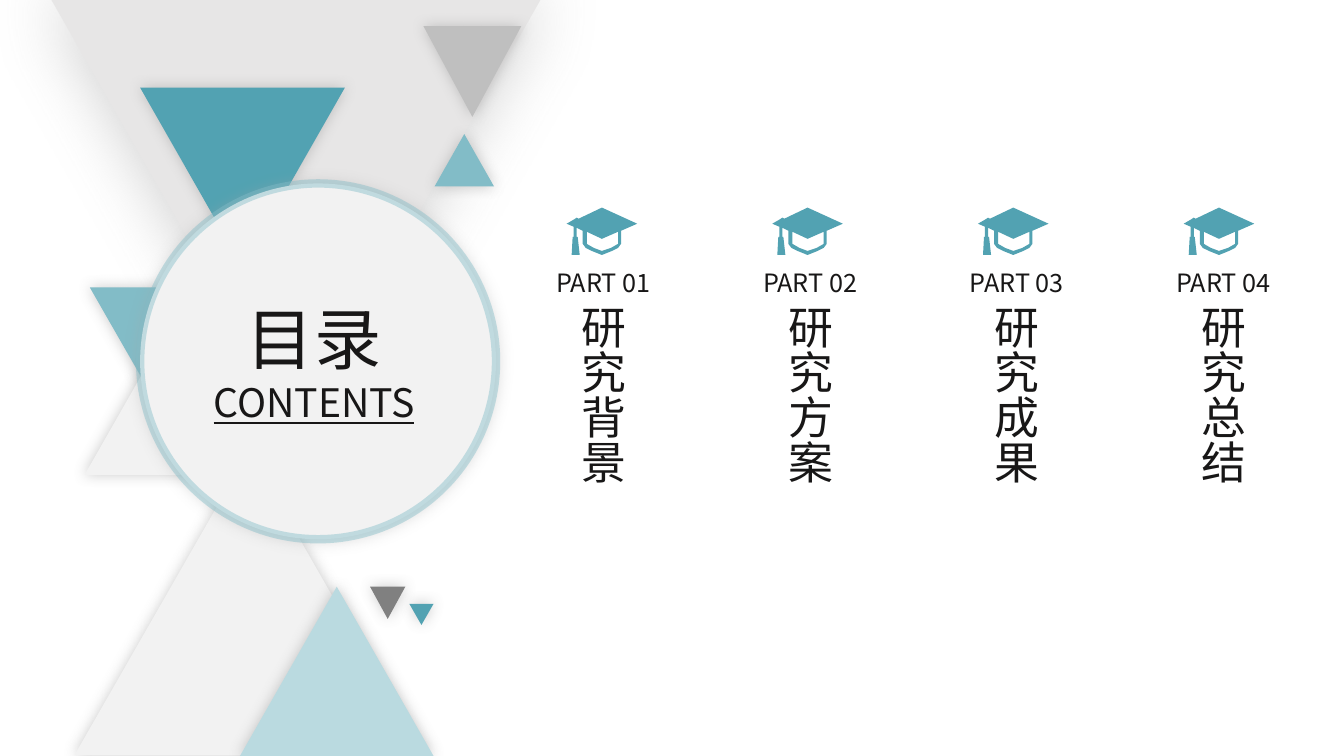
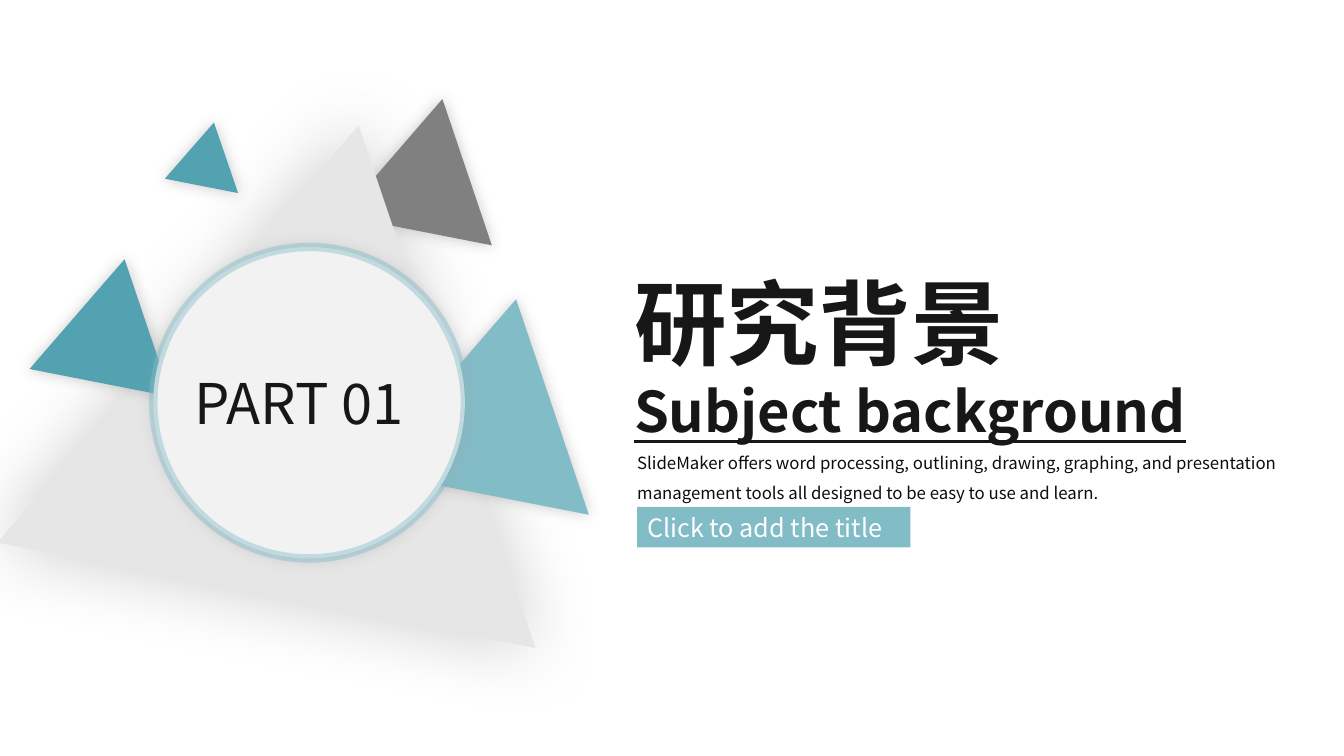
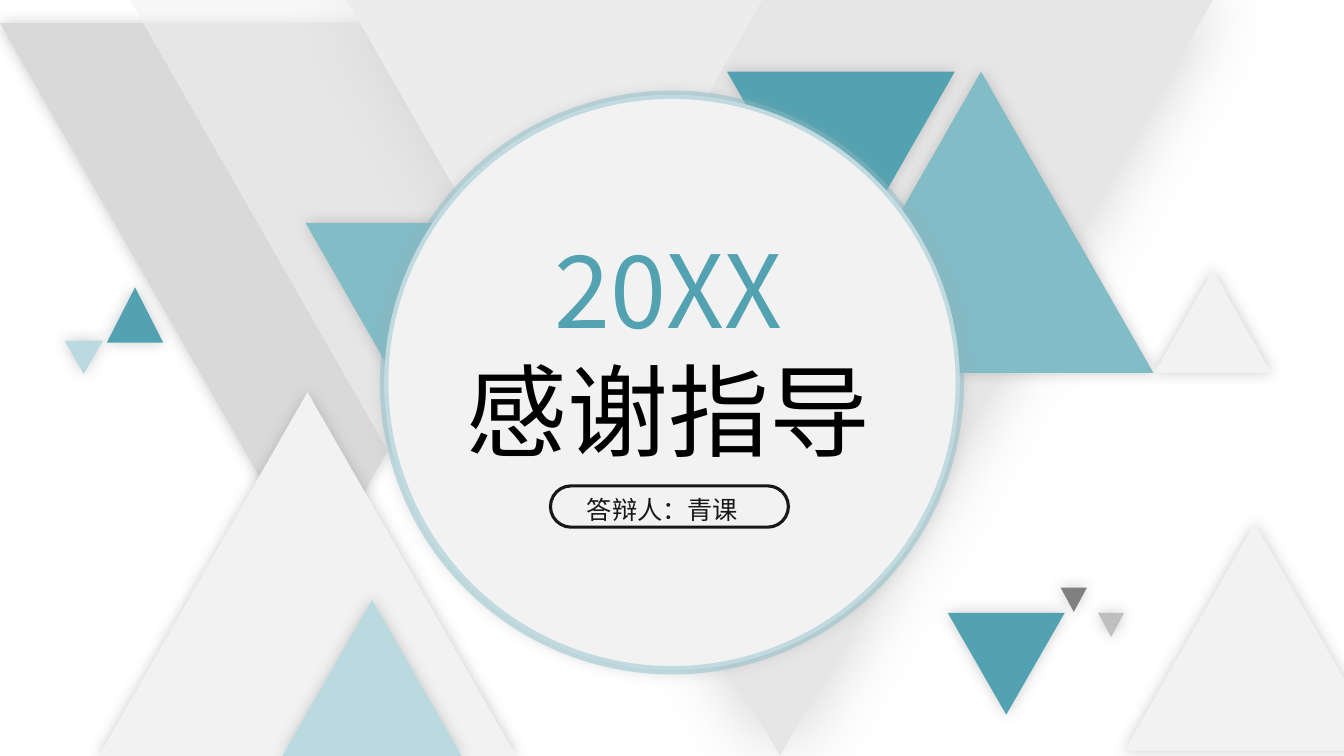
from pptx import Presentation
from pptx.dml.color import RGBColor
from pptx.enum.shapes import MSO_SHAPE as SHAPE
from pptx.enum.text import MSO_ANCHOR as ANCHOR, MSO_AUTO_SIZE as AUTO, PP_ALIGN as ALIGN
from pptx.oxml.ns import qn
from pptx.util import Pt
from lxml.etree import SubElement

PX = 9144  # 100 px to the inch


class Theme:
    font = "Noto Sans CJK SC"
    ink, body, black, white = "181717", "0D0D0D", "000000", "FFFFFF"
    teal, aqua, ice = "52A2B2", "82BCC7", "BADAE0"
    pale, light, mist = "F2F2F2", "E7E6E6", "D9D9D9"
    silver, grey, ring_shadow = "BFBFBF", "808080", "A6A6A6"
    small, label, sub, item, heading, agenda, title, huge = 12, 18, 28, 32, 40, 48, 66, 72
    soft, wide = 10, 53  # shadow blur in points


T = Theme
UP, DOWN, TILT = 0, 180, 11.1

# Triangles, back to front: left, top, width, height, turn, colour, options
CONTENTS_TRIANGLES = [
    (51, 0, 485, 424, DOWN, T.light, {"blur": T.wide}),
    (74, 447, 346, 302, UP, T.pale, {}),
    (238, 582, 192, 168, UP, T.ice, {}),
    (431, 133, 59, 52, UP, T.aqua, {}),
    (89, 285, 126, 110, DOWN, T.aqua, {}),
    (406, 599, 24, 21, DOWN, T.teal, {}),
    (139, 87, 203, 178, DOWN, T.teal, {}),
    (367, 582, 35, 32, DOWN, T.grey, {}),
    (420, 26, 97, 90, DOWN, T.silver, {}),
    (84, 343, 146, 128, UP, T.pale, {}),
]
SECTION_TRIANGLES = [
    (350, 97, 152, 133, TILT, T.grey, {}),
    (38, 120, 544, 475, TILT, T.light, {"blur": T.wide}),
    (381, 295, 224, 196, TILT, T.aqua, {}),
    (169, 121, 74, 64, TILT, T.teal, {}),
    (40, 256, 143, 125, TILT, T.teal, {}),
]
CLOSING_TRIANGLES = [
    (0, 23, 627, 548, DOWN, T.mist, {}),
    (344, 0, 859, 750, DOWN, T.light, {"blur": T.wide}),
    (98, 389, 414, 361, UP, T.pale, {}),
    (280, 595, 178, 155, UP, T.ice, {}),
    (129, 0, 627, 548, DOWN, T.pale, {"blur": 0, "alpha": 54}),
    (802, 71, 342, 299, UP, T.aqua, {}),
    (303, 221, 354, 309, DOWN, T.aqua, {}),
    (940, 608, 116, 101, DOWN, T.teal, {}),
    (1145, 268, 116, 102, UP, T.pale, {}),
    (721, 71, 226, 197, DOWN, T.teal, {}),
    (106, 285, 56, 55, UP, T.teal, {}),
    (64, 338, 38, 33, DOWN, T.ice, {}),
    (1052, 583, 26, 24, DOWN, T.grey, {}),
    (1089, 608, 26, 24, DOWN, T.silver, {}),
    (1115, 519, 259, 226, UP, T.pale, {}),
]

PARTS = ["研究背景", "研究方案", "研究成果", "研究总结"]
PART_PITCH, CAP_PITCH = 205, 204
CAP_OUTLINE = [
    (70, 16), (35, 0), (12, 11), (10, 10), (7, 12), (0, 16), (7, 19), (7, 29),
    (6, 29), (5, 47), (13, 47), (11, 29), (10, 29), (10, 20), (12, 21), (16, 23),
    (16, 36), (19, 40), (25, 43), (35, 47), (45, 43), (51, 40), (54, 36), (54, 23),
]
CAP_HOLE = [(51, 36), (44, 40), (35, 43), (27, 40), (20, 36), (20, 24), (35, 31), (51, 24)]
INTRO = ("SlideMaker offers word processing, outlining, drawing, graphing, and presentation "
         "management tools all designed to be easy to use and learn.")


def rgb(color):
    return RGBColor.from_string(color)


def set_alpha(sp, tag, percent):
    """Opacity of the solid fill (a:solidFill) or the outline (a:ln)."""
    color = sp._element.spPr.find(qn(tag)).find(".//" + qn("a:srgbClr"))
    SubElement(color, qn("a:alpha"), val=str(percent * 1000))


def add_glow(sp, color, blur):
    """Centred outer shadow at 40 % opacity."""
    effects = sp._element.spPr.find(qn("a:effectLst"))
    shadow = SubElement(effects, qn("a:outerShdw"), blurRad=str(Pt(blur)), dist="0",
                        dir="0", algn="ctr", rotWithShape="0")
    clr = SubElement(shadow, qn("a:srgbClr"), val=color)
    SubElement(clr, qn("a:alpha"), val="40000")


def style(sp, fill=None, line=None, width=1):
    sp.shadow.inherit = False
    if fill:
        sp.fill.solid()
        sp.fill.fore_color.rgb = rgb(fill)
    else:
        sp.fill.background()
    if line:
        sp.line.color.rgb = rgb(line)
        sp.line.width = Pt(width)
    else:
        sp.line.fill.background()
    return sp


def add_shape(s, kind, x, y, w, h, **look):
    return style(s.shapes.add_shape(kind, x * PX, y * PX, w * PX, h * PX), **look)


def add_triangles(s, triangles):
    for x, y, w, h, turn, color, options in triangles:
        sp = add_shape(s, SHAPE.ISOSCELES_TRIANGLE, x, y, w, h, fill=color)
        sp.rotation = turn
        blur = options.get("blur", T.soft)
        if blur:
            add_glow(sp, T.grey, blur)
        if "alpha" in options:
            set_alpha(sp, "a:solidFill", options["alpha"])


def add_disc(s, x, y, size):
    sp = add_shape(s, SHAPE.OVAL, x, y, size, size, fill=T.pale, line=T.aqua, width=6)
    set_alpha(sp, "a:ln", 43)
    add_glow(sp, T.ring_shadow, T.soft)


def write(sp, *lines, align=ALIGN.CENTER, bold=False, spacing=None, inset=None,
          anchor=ANCHOR.TOP, vertical=False):
    """Each line is (text, size, colour) with an optional underline flag."""
    tf = sp.text_frame
    tf.word_wrap = True
    tf.auto_size = AUTO.SHAPE_TO_FIT_TEXT
    tf.vertical_anchor = anchor
    if inset is not None:
        tf.margin_left = tf.margin_right = tf.margin_top = tf.margin_bottom = inset
    if vertical:
        tf._txBody.bodyPr.set("vert", "eaVert")
    for i, (text, size, color, *underline) in enumerate(lines):
        p = tf.add_paragraph() if i else tf.paragraphs[0]
        p.alignment = align
        if spacing:
            p.line_spacing = spacing
        r = p.add_run()
        r.text = text
        r.font.name, r.font.size, r.font.bold = T.font, Pt(size), bold
        r.font.color.rgb = rgb(color)
        r.font.underline = bool(underline)
        SubElement(r._r.rPr, qn("a:ea"), typeface=T.font)


def add_text(s, x, y, w, h, *lines, **fmt):
    write(s.shapes.add_textbox(x * PX, y * PX, w * PX, h * PX), *lines, **fmt)


def add_cap(s, x, y):
    fb = s.shapes.build_freeform(*CAP_OUTLINE[0], scale=PX)
    fb.add_line_segments(CAP_OUTLINE[1:])
    fb.move_to(*CAP_HOLE[0])
    fb.add_line_segments(CAP_HOLE[1:])
    style(fb.convert_to_shape(x * PX, y * PX), fill=T.teal)


def new_slide(prs, triangles, disc):
    s = prs.slides.add_slide(prs.slide_layouts[6])
    add_triangles(s, triangles)
    add_disc(s, *disc)
    return s


def contents_slide(prs):
    s = new_slide(prs, CONTENTS_TRIANGLES, (139, 182, 353))
    add_text(s, 193, 290, 237, 139, ("目录", T.agenda, T.ink), ("CONTENTS", T.sub, T.ink, True))
    for i, topic in enumerate(PARTS):
        dx = i * PART_PITCH
        add_text(s, 555 + dx, 293, 74, 212, (topic, T.item, T.ink),
                 align=ALIGN.JUSTIFY, vertical=True)
        add_text(s, 508 + dx, 260, 181, 40, (f"PART {i + 1:02}", T.label, T.ink))
        add_cap(s, 562 + i * CAP_PITCH, 206)


def section_slide(prs):
    s = new_slide(prs, SECTION_TRIANGLES, (152, 245, 309))
    add_text(s, 132, 361, 329, 77, ("PART 01", T.heading, T.ink))
    add_text(s, 619, 259, 645, 188, (PARTS[0], T.title, T.ink),
             ("Subject background", T.heading, T.ink, True), align=ALIGN.JUSTIFY, bold=True)
    add_text(s, 632, 439, 645, 57, (INTRO, T.small, T.body),
             align=ALIGN.LEFT, spacing=1.5, inset=0)
    button = add_shape(s, SHAPE.RECTANGLE, 632, 503, 271, 40, fill=T.aqua)
    write(button, ("Click to add the title", T.label, T.white),
          align=ALIGN.JUSTIFY, anchor=ANCHOR.MIDDLE)


def closing_slide(prs):
    s = new_slide(prs, CLOSING_TRIANGLES, (381, 94, 571))
    add_text(s, 426, 221, 474, 252, ("20XX", T.huge, T.teal), ("感谢指导", T.huge, T.black))
    add_text(s, 546, 485, 222, 40, ("答辩人：青课", T.label, T.ink))
    pill = add_shape(s, SHAPE.ROUNDED_RECTANGLE, 546, 482, 236, 41, line=T.ink, width=2.25)
    pill.adjustments[0] = 0.5


def main():
    prs = Presentation()
    prs.slide_width, prs.slide_height = 1333 * PX, 750 * PX
    contents_slide(prs)
    section_slide(prs)
    closing_slide(prs)
    prs.save("out.pptx")


if __name__ == "__main__":
    main()
